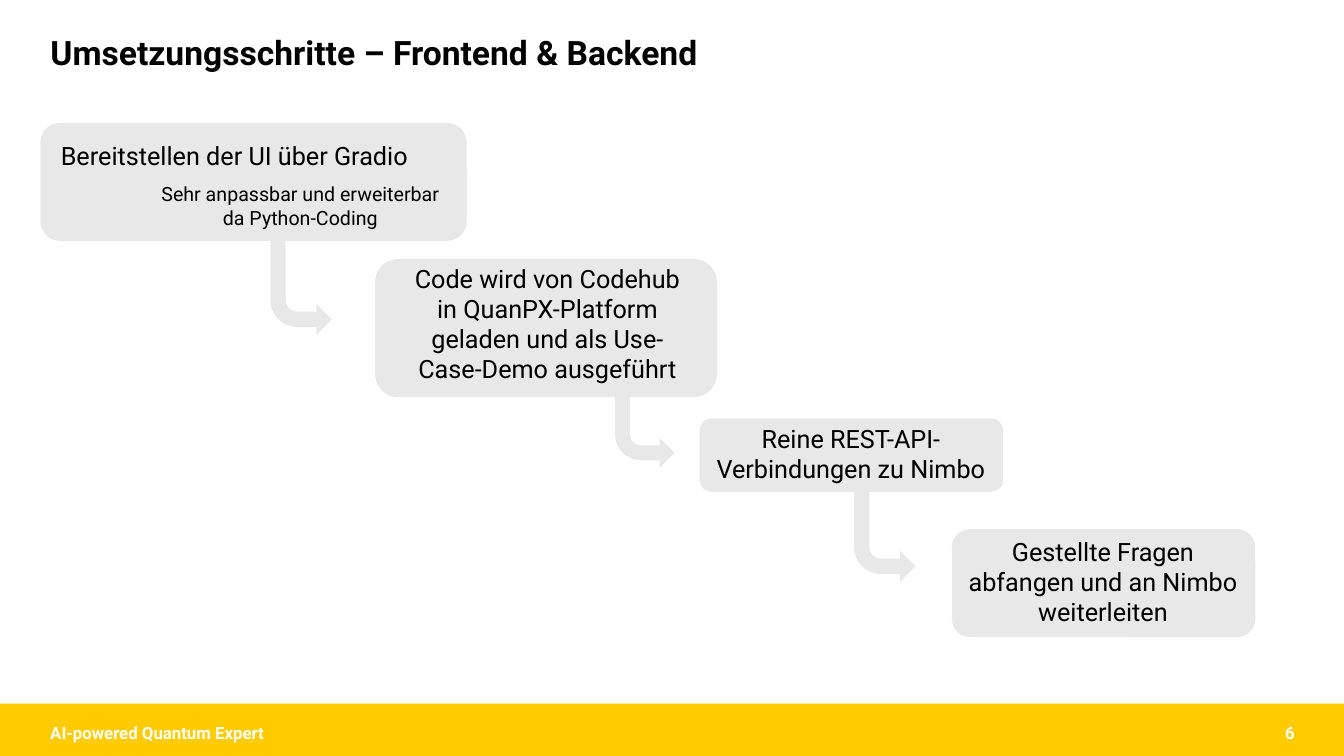
from dataclasses import dataclass
from pptx import Presentation
from pptx.dml.color import RGBColor
from pptx.enum.shapes import MSO_SHAPE as Kind
from pptx.enum.text import MSO_ANCHOR as Anchor, MSO_AUTO_SIZE as Fit, PP_ALIGN as Align
from pptx.util import Inches, Pt


@dataclass(frozen=True)
class Theme:
    font: str = "Roboto"
    ink: str = "000000"
    pale: str = "FFFFFF"
    card: str = "E8E8E8"
    bar: str = "FECC00"
    head: int = 24
    body: int = 18
    note: int = 14
    foot: int = 12


THEME = Theme()
TITLE = "Umsetzungsschritte – Frontend & Backend"
FOOTER = "AI-powered Quantum Expert"
NUMBER = "6"

# Each step: card area, then its texts as (text, size, area)
STEPS = [
    ((0.4, 1.22, 4.23, 1.17), [
        ("Bereitstellen der UI über Gradio", THEME.body, (0.4, 1.34, 3.85, 0.4)),
        ("Sehr anpassbar und erweiterbar da Python-Coding", THEME.note,
         (1.48, 1.76, 3, 0.57))]),
    ((3.72, 2.57, 3.39, 1.37), [
        ("Code wird von Codehub in QuanPX-Platform geladen und als "
         "Use-Case-Demo ausgeführt", THEME.body, (3.93, 2.56, 3, 1.31))]),
    ((6.94, 4.15, 3.01, 0.73), [
        ("Reine REST-API-Verbindungen zu Nimbo", THEME.body, (6.94, 4.15, 3, 0.71))]),
    ((9.44, 5.25, 3.01, 1.07), [
        ("Gestellte Fragen abfangen und an Nimbo weiterleiten", THEME.body,
         (9.44, 5.27, 3, 1.01))]),
]
ARROWS = [(2.68, 2.39, 0.61, 0.93), (6.1, 3.94, 0.59, 0.7), (8.47, 4.79, 0.61, 0.98)]


def style(frame, text, size, color, bold=False, align=Align.LEFT):
    frame.text = text
    frame.word_wrap = True
    para = frame.paragraphs[0]
    para.alignment = align
    font = para.runs[0].font
    font.name, font.size, font.bold = THEME.font, Pt(size), bold
    font.color.rgb = RGBColor.from_string(color)


def add_block(slide, kind, area, color):
    block = slide.shapes.add_shape(kind, *map(Inches, area))
    block.shadow.inherit = False
    block.fill.solid()
    block.fill.fore_color.rgb = RGBColor.from_string(color)
    block.line.fill.background()
    return block


def add_label(slide, area, *args, **kwargs):
    frame = slide.shapes.add_textbox(*map(Inches, area)).text_frame
    style(frame, *args, **kwargs)
    return frame


def add_title(slide):
    title = slide.shapes.title
    title.left, title.top, title.width, title.height = map(Inches, (0.4, 0.31, 9.41, 0.47))
    frame = title.text_frame
    style(frame, TITLE, THEME.head, THEME.ink, bold=True)
    frame.auto_size = Fit.NONE
    frame.vertical_anchor = Anchor.MIDDLE
    frame.paragraphs[0].line_spacing = 0.9


def add_footer(slide):
    add_block(slide, Kind.RECTANGLE, (0, 6.98, 13.33, 0.52), THEME.bar)
    for text, left, width, align in ((FOOTER, 0.4, 4.5, Align.LEFT),
                                     (NUMBER, 9.94, 3, Align.RIGHT)):
        frame = add_label(slide, (left, 7.16, width, 0.21), text, THEME.foot,
                          THEME.pale, bold=True, align=align)
        frame.vertical_anchor = Anchor.MIDDLE


def add_steps(slide):
    for area, _ in reversed(STEPS):
        add_block(slide, Kind.ROUNDED_RECTANGLE, area, THEME.card)
    for _, texts in STEPS:
        for text, size, area in texts:
            add_label(slide, area, text, size, THEME.ink, align=Align.CENTER)
    for area in ARROWS:
        arrow = add_block(slide, Kind.BENT_ARROW, area, THEME.card)
        arrow.rotation = 180
        arrow.element.spPr.xfrm.set("flipH", "1")


def main():
    deck = Presentation()
    deck.slide_width, deck.slide_height = Inches(13.33), Inches(7.5)
    slide = deck.slides.add_slide(deck.slide_layouts[5])
    add_title(slide)
    add_footer(slide)
    add_steps(slide)
    deck.save("out.pptx")


if __name__ == "__main__":
    main()
